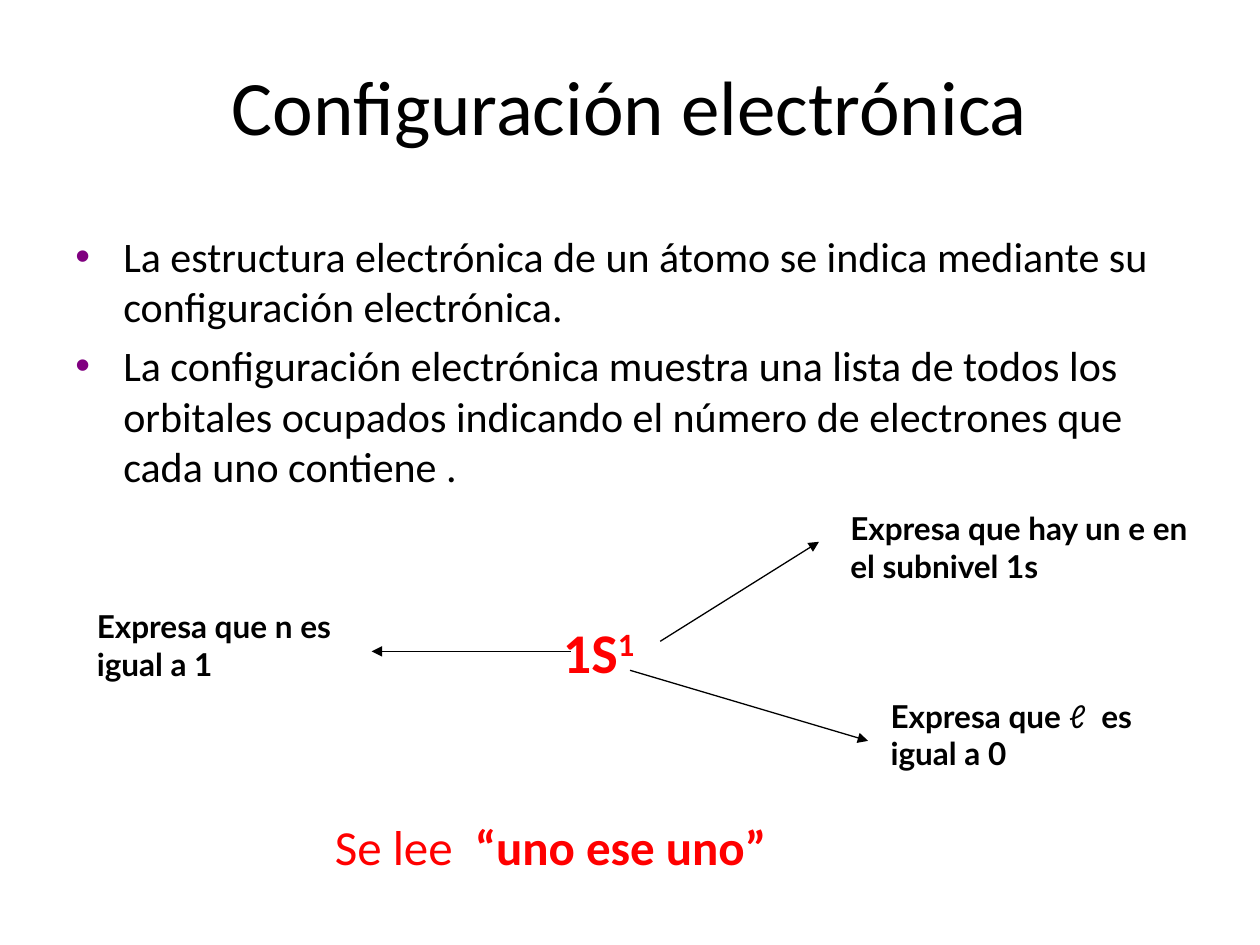
"""Build the slide on electron configuration with its annotated 1S¹ notation."""
import dataclasses
import typing

import lxml.etree
import pptx
import pptx.dml.color
import pptx.enum.shapes
import pptx.enum.text
import pptx.oxml.ns
import pptx.util

Inches = pptx.util.Inches
Pt = pptx.util.Pt
RGB = pptx.dml.color.RGBColor
ANCHOR = pptx.enum.text.MSO_ANCHOR
ALIGN = pptx.enum.text.PP_ALIGN
AUTO = pptx.enum.text.MSO_AUTO_SIZE
qn = pptx.oxml.ns.qn


@dataclasses.dataclass(frozen=True)
class Theme:
    ink: RGB = RGB(0, 0, 0)
    accent: RGB = RGB(0xFF, 0, 0)
    bullet: RGB = RGB(0x80, 0, 0x80)
    paper: RGB = RGB(0xFF, 0xFF, 0xFF)
    font: str = "Calibri"
    note_font: str = "Lato"
    title: int = 44
    body: int = 24
    notation: int = 32
    reading: int = 28
    note: int = 18


class Run(typing.NamedTuple):
    text: str
    bold: bool = False
    baseline: int = 0


class Box(typing.NamedTuple):
    left: float
    top: float
    width: float
    height: float


class Note(typing.NamedTuple):
    box: Box
    runs: list[Run]


class Arrow(typing.NamedTuple):
    x1: float
    y1: float
    x2: float
    y2: float


THEME = Theme()
BODY = [
    "La estructura electrónica de un átomo se indica mediante su configuración electrónica.",
    "La configuración electrónica muestra una lista de todos los orbitales ocupados "
    "indicando el número de electrones que cada uno contiene .",
]
NOTES = [
    Note(Box(6.65, 3.99, 2.99, 0.7), [Run("Expresa que hay un e en el subnivel 1s", True)]),
    Note(Box(0.67, 4.77, 2.2, 0.7), [Run("Expresa que n es igual a 1", True)]),
    Note(Box(6.97, 5.48, 2.2, 0.7),
         [Run("Expresa que ", True), Run("ℓ "), Run(" es igual a 0", True)]),
]
ARROWS = [
    Arrow(5.24, 5.09, 6.5, 4.3),
    Arrow(4.53, 5.17, 2.95, 5.17),
    Arrow(5, 5.32, 6.89, 5.88),
]


def apply(target: typing.Any, values: dict[str, typing.Any]) -> None:
    """Set each named attribute on the target."""
    for name, value in values.items():
        setattr(target, name, value)


def add_runs(p: typing.Any, runs: list[Run], size: int, color: RGB, font: str) -> None:
    """Append formatted runs to a paragraph."""
    for run in runs:
        r = p.add_run()
        r.text = run.text
        apply(r.font, {"name": font, "size": Pt(size), "bold": run.bold})
        r.font.color.rgb = color
        if run.baseline:
            r.font._element.set("baseline", str(run.baseline * 1000))


def add_text(slide: typing.Any, box: Box, **frame: typing.Any) -> typing.Any:
    """Add a wrapping text box and return its text frame."""
    tf = slide.shapes.add_textbox(*map(Inches, box)).text_frame
    apply(tf, {"word_wrap": True, **frame})
    return tf


def add_bullet(p: typing.Any) -> None:
    """Give a paragraph a hanging coloured bullet."""
    pPr = p._p.get_or_add_pPr()
    pPr.set("marL", str(Inches(0.38)))
    pPr.set("indent", str(-Inches(0.38)))
    color = lxml.etree.SubElement(pPr, qn("a:buClr"))
    lxml.etree.SubElement(color, qn("a:srgbClr")).set("val", str(THEME.bullet))
    lxml.etree.SubElement(pPr, qn("a:buFont")).set("typeface", "Arial")
    lxml.etree.SubElement(pPr, qn("a:buChar")).set("char", "•")


def add_body(slide: typing.Any, box: Box, items: list[str]) -> None:
    """Add the bulleted paragraphs."""
    tf = add_text(slide, box)
    for i, item in enumerate(items):
        p = tf.add_paragraph() if i else tf.paragraphs[0]
        if i:
            p.space_before = Pt(THEME.body * 0.2)
        add_bullet(p)
        add_runs(p, [Run(item)], THEME.body, THEME.ink, THEME.font)


def add_note(slide: typing.Any, note: Note) -> None:
    """Add a white rectangle holding an explanation."""
    sp = slide.shapes.add_shape(
        pptx.enum.shapes.MSO_SHAPE.RECTANGLE, *map(Inches, note.box))
    sp.shadow.inherit = False
    sp.fill.solid()
    sp.fill.fore_color.rgb = THEME.paper
    sp.line.fill.background()
    tf = sp.text_frame
    apply(tf, {"word_wrap": True, "vertical_anchor": ANCHOR.TOP,
               "auto_size": AUTO.SHAPE_TO_FIT_TEXT})
    p = tf.paragraphs[0]
    p.alignment = ALIGN.LEFT
    add_runs(p, note.runs, THEME.note, THEME.ink, THEME.note_font)


def add_arrow(slide: typing.Any, arrow: Arrow) -> None:
    """Add a thin line with a triangle at its end."""
    line = slide.shapes.add_connector(
        pptx.enum.shapes.MSO_CONNECTOR.STRAIGHT, *map(Inches, arrow))
    line.line.color.rgb = THEME.ink
    line.line.width = Pt(0.75)
    ln = line.line._get_or_add_ln()
    lxml.etree.SubElement(ln, qn("a:tailEnd")).set("type", "triangle")
    lxml.etree.SubElement(line._element.spPr, qn("a:effectLst"))


def main() -> None:
    """Assemble and save the slide."""
    prs = pptx.Presentation()
    apply(prs, {"slide_width": Inches(10), "slide_height": Inches(7.5)})
    slide = prs.slides.add_slide(prs.slide_layouts[6])

    p = add_text(slide, Box(0.5, 0.28, 9, 1.1), vertical_anchor=ANCHOR.MIDDLE).paragraphs[0]
    p.alignment = ALIGN.CENTER
    add_runs(p, [Run("Configuración electrónica")], THEME.title, THEME.ink, THEME.font)
    add_body(slide, Box(0.5, 1.78, 9.15, 2.36), BODY)

    grow = {"auto_size": AUTO.SHAPE_TO_FIT_TEXT}
    reading = add_text(slide, Box(2.56, 6.43, 5, 0.57), **grow)
    add_runs(reading.paragraphs[0], [Run("Se lee"), Run("  “uno ese uno”", True)],
             THEME.reading, THEME.accent, THEME.font)
    notation = add_text(slide, Box(4.37, 4.85, 1.26, 0.63), **grow)
    add_runs(notation.paragraphs[0], [Run("1S", True), Run("1", True, 30)],
             THEME.notation, THEME.accent, THEME.font)

    for note in NOTES:
        add_note(slide, note)
    for arrow in ARROWS:
        add_arrow(slide, arrow)
    prs.save("out.pptx")


if __name__ == "__main__":
    main()
